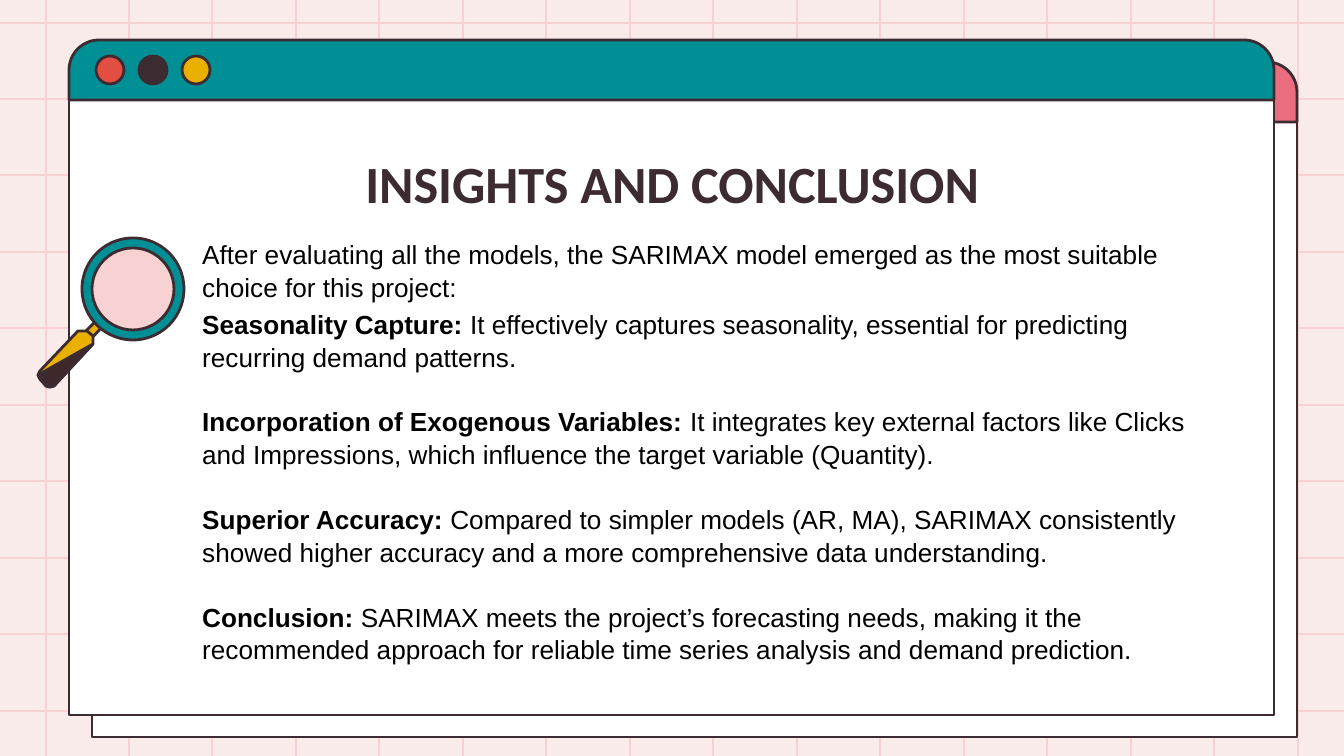
"""Builds the insights and conclusion slide with a browser-window frame."""
from dataclasses import dataclass

from lxml import etree
from pptx import Presentation
from pptx.dml.color import RGBColor
from pptx.enum.shapes import MSO_CONNECTOR, MSO_SHAPE
from pptx.enum.text import PP_ALIGN
from pptx.oxml.ns import qn
from pptx.util import Emu, Pt

W, H = 1344, 756
SCALE = 914400 / 134.4
INK, TEAL, RED, YELLOW = "3C2C31", "008F95", "E24E42", "E9B000"
PINK, ROSE, WHITE, BLACK = "F8D2D2", "EB6E80", "FFFFFF", "000000"


@dataclass
class Box:
    x: int
    y: int
    w: int
    h: int

    def emu(self) -> list[Emu]:
        return [px(v) for v in (self.x, self.y, self.w, self.h)]


@dataclass
class Window:
    x: int
    y: int
    header: str


@dataclass
class Point:
    label: str
    text: str


WINDOWS = [Window(92, 62, ROSE), Window(69, 40, TEAL)]
BUTTONS = [RED, INK, YELLOW]
NECK = [(89, 341), (82, 335), (97, 320), (104, 325)]
GRIP_END = [(40, 371), (38, 375), (40, 379), (46, 386), (50, 387), (54, 386), (93, 344)]
GRIP_TOP = [(93, 336), (87, 331), (78, 331)]
INTRO = [Point("", "After evaluating all the models, the SARIMAX model emerged as "
               "the most suitable choice for this project:")]
POINTS = [
    Point("Seasonality Capture: ", "It effectively captures seasonality, essential for "
          "predicting recurring demand patterns."),
    Point("Incorporation of Exogenous Variables: ", "It integrates key external factors like "
          "Clicks and Impressions, which influence the target variable (Quantity)."),
    Point("Superior Accuracy: ", "Compared to simpler models (AR, MA), SARIMAX consistently "
          "showed higher accuracy and a more comprehensive data understanding."),
    Point("Conclusion: ", "SARIMAX meets the project’s forecasting needs, making it the "
          "recommended approach for reliable time series analysis and demand prediction."),
]


def px(v: int) -> Emu:
    return Emu(round(v * SCALE))


def rgb(value: str) -> RGBColor:
    return RGBColor.from_string(value)


def style(sp, fill: str):
    sp.shadow.inherit = False
    sp.fill.solid()
    sp.fill.fore_color.rgb = rgb(fill)
    sp.line.color.rgb = rgb(INK)
    sp.line.width = Pt(1.5)
    return sp


def add_preset(s, kind: MSO_SHAPE, box: Box, fill: str):
    return style(s.shapes.add_shape(kind, *box.emu()), fill)


def add_outline(s, points: list[tuple[int, int]], fill: str) -> None:
    fb = s.shapes.build_freeform(*points[0], scale=SCALE)
    fb.add_line_segments(points[1:], close=True)
    style(fb.convert_to_shape(), fill)


def add_grid_line(s, x1: int, y1: int, x2: int, y2: int) -> None:
    ends = [px(v) for v in (x1, y1, x2, y2)]
    c = s.shapes.add_connector(MSO_CONNECTOR.STRAIGHT, *ends)
    c.line.color.rgb = rgb(PINK)
    c.line.width = Pt(1.5)
    etree.SubElement(c._element.spPr, qn("a:effectLst"))


def add_window(s, win: Window) -> None:
    add_preset(s, MSO_SHAPE.RECTANGLE, Box(win.x, win.y + 60, 1205, 615), WHITE)
    header = Box(win.x, win.y, 1205, 60)
    sp = add_preset(s, MSO_SHAPE.ROUND_2_SAME_RECTANGLE, header, win.header)
    sp.adjustments[0] = 0.5
    for i, color in enumerate(BUTTONS):
        button = Box(win.x + 27 + 43 * i, win.y + 16, 28, 28)
        add_preset(s, MSO_SHAPE.OVAL, button, color)


def add_magnifier(s) -> None:
    add_outline(s, NECK, YELLOW)
    add_outline(s, GRIP_END + GRIP_TOP, YELLOW)
    add_outline(s, GRIP_END[1:], "3E282C")
    add_preset(s, MSO_SHAPE.OVAL, Box(82, 238, 102, 102), TEAL)
    add_preset(s, MSO_SHAPE.OVAL, Box(92, 248, 82, 82), PINK)


def add_text_frame(s, box: Box):
    tf = s.shapes.add_textbox(*box.emu()).text_frame
    tf.word_wrap = True
    return tf


def set_font(p, name: str, size: int, color: str) -> None:
    p.font.name = name
    p.font.size = Pt(size)
    p.font.color.rgb = rgb(color)


def add_title(s, text: str) -> None:
    tf = add_text_frame(s, Box(132, 138, 1080, 85))
    tf.margin_top = tf.margin_bottom = px(13)
    p = tf.paragraphs[0]
    p.text = text
    p.alignment = PP_ALIGN.CENTER
    set_font(p, "Calibri", 28, INK)
    p.font.bold = True


def add_points(s, box: Box, points: list[Point]) -> None:
    tf = add_text_frame(s, box)
    for i, point in enumerate(points):
        p = tf.add_paragraph() if i else tf.paragraphs[0]
        set_font(p, "Arial", 14, BLACK)
        p.line_spacing = 1.05
        p.space_before = Pt(17 if i else 0)
        if point.label:
            r = p.add_run()
            r.text = point.label
            r.font.bold = True
        p.add_run().text = point.text


def main() -> None:
    prs = Presentation()
    prs.slide_width, prs.slide_height = px(W), px(H)
    s = prs.slides.add_slide(prs.slide_layouts[6])
    s.background.fill.solid()
    s.background.fill.fore_color.rgb = rgb("FAEBEB")
    for i in range(16):
        x = 46 + 1252 * i // 15
        add_grid_line(s, x, 0, x, H)
    for i in range(10):
        y = 23 + 688 * i // 9
        add_grid_line(s, 0, y, W, y)
    for win in WINDOWS:
        add_window(s, win)
    add_title(s, "INSIGHTS AND CONCLUSION")
    add_magnifier(s)
    add_points(s, Box(189, 230, 1023, 77), INTRO)
    add_points(s, Box(189, 300, 1028, 362), POINTS)
    prs.save("out.pptx")


if __name__ == "__main__":
    main()
